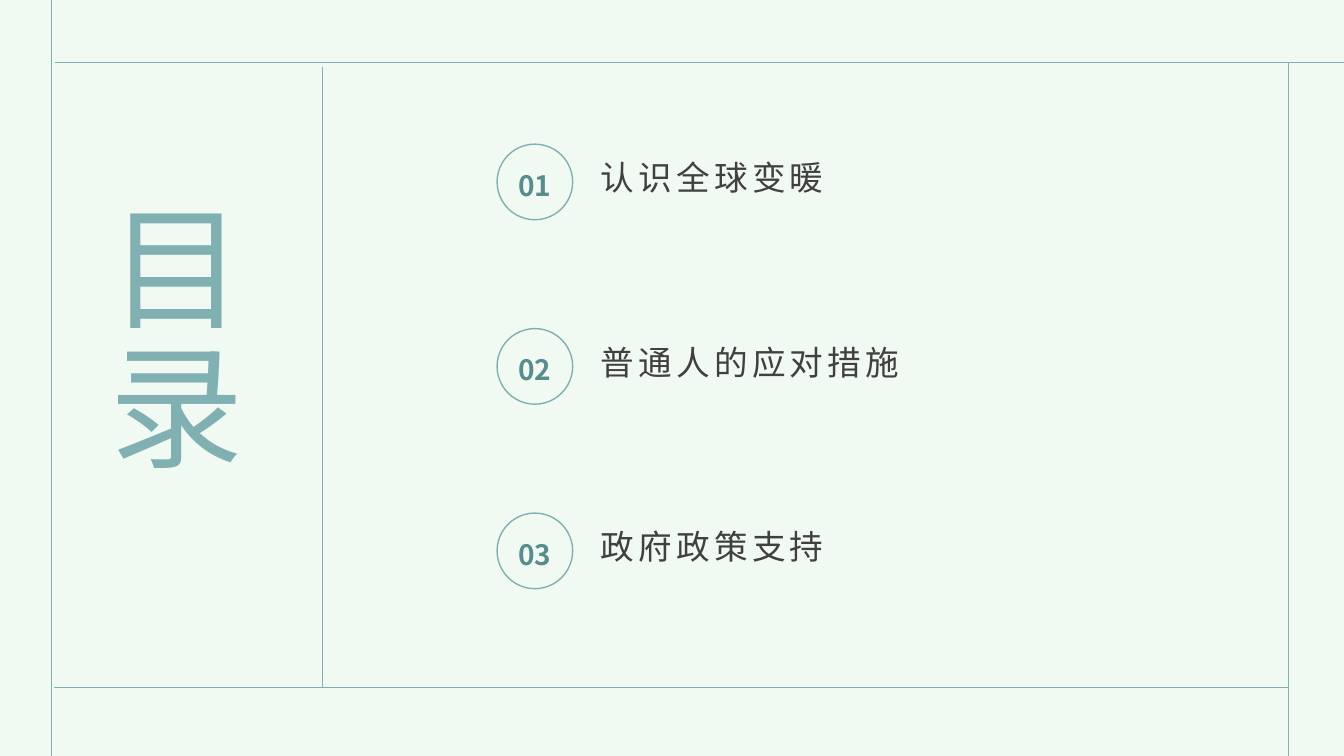
from lxml import etree
from pptx import Presentation
from pptx import util as u
from pptx.dml.color import RGBColor
from pptx.enum import shapes, text
from pptx.oxml import ns

MINT = RGBColor(0xF1, 0xF9, 0xF3)
TEAL = RGBColor(0x80, 0xB0, 0xB2)
DEEP_TEAL = RGBColor(0x57, 0x8D, 0x8F)
CHARCOAL = RGBColor(0x40, 0x40, 0x40)
FONT = "Noto Sans CJK SC"


class ContentsPage:
    def __init__(self, deck):
        self.page = deck.slides.add_slide(deck.slide_layouts[6])
        self.page.background.fill.solid()
        self.page.background.fill.fore_color.rgb = MINT

    def rule(self, x1, y1, x2, y2):
        line = self.page.shapes.add_connector(
            shapes.MSO_CONNECTOR.STRAIGHT,
            u.Inches(x1), u.Inches(y1), u.Inches(x2), u.Inches(y2))
        line.line.color.rgb = TEAL
        line.line.width = u.Pt(0.5)
        etree.SubElement(line.element.spPr, ns.qn("a:effectLst"))

    def set_words(self, shape, words, size, color, spacing=1.2, tracking=0,
                  bold=False, align=text.PP_ALIGN.CENTER):
        frame = shape.text_frame
        frame.text = words
        frame.word_wrap = True
        frame.vertical_anchor = text.MSO_ANCHOR.MIDDLE
        frame.margin_left = frame.margin_right = 0
        frame.margin_top = frame.margin_bottom = 0
        para = frame.paragraphs[0]
        para.alignment = align
        para.line_spacing = spacing
        span = para.runs[0]
        span.font.size = u.Pt(size)
        span.font.bold = bold
        span.font.color.rgb = color
        span.font.name = FONT
        properties = span.font._element
        properties.set("spc", str(tracking * 100))
        etree.SubElement(properties, ns.qn("a:ea"), typeface=FONT)

    def text_box(self, left, top, width, height, words, size, color, **style):
        box = self.page.shapes.add_textbox(
            u.Inches(left), u.Inches(top), u.Inches(width), u.Inches(height))
        self.set_words(box, words, size, color, **style)
        return box

    def vertical_title(self, left, top, width, height, words):
        box = self.text_box(left, top, width, height, words, 96, TEAL, tracking=3)
        box.element.txBody.bodyPr.set("vert", "eaVert")

    def badge(self, left, top, size, words):
        circle = self.page.shapes.add_shape(
            shapes.MSO_SHAPE.OVAL,
            u.Inches(left), u.Inches(top), u.Inches(size), u.Inches(size))
        circle.shadow.inherit = False
        circle.fill.background()
        circle.line.color.rgb = TEAL
        circle.line.width = u.Pt(1)
        self.set_words(circle, words, 20, DEEP_TEAL, bold=True)

    def entry(self, number, top, words):
        self.badge(4.93, top, 0.75, f"{number:02d}")
        self.text_box(5.96, top - 0.38, 4.89, 1.47, words, 24, CHARCOAL,
                      spacing=0.9, tracking=3, align=text.PP_ALIGN.LEFT)


def main():
    deck = Presentation()
    deck.slide_width = u.Inches(13.33)
    deck.slide_height = u.Inches(7.5)
    contents = ContentsPage(deck)

    for ends in [
        (12.78, 0.63, 12.78, 7.5),
        (0.54, 6.82, 12.77, 6.82),
        (3.2, 6.82, 3.2, 0.66),
        (0.51, 0, 0.51, 7.5),
        (0.55, 0.62, 13.33, 0.62),
    ]:
        contents.rule(*ends)

    contents.vertical_title(0.6, 1.99, 2.53, 3.09, "目录")

    chapters = ["认识全球变暖", "普通人的应对措施", "政府政策支持"]
    for index, chapter in enumerate(chapters):
        contents.entry(index + 1, 1.43 + index * 1.83, chapter)

    deck.save("out.pptx")


if __name__ == "__main__":
    main()
